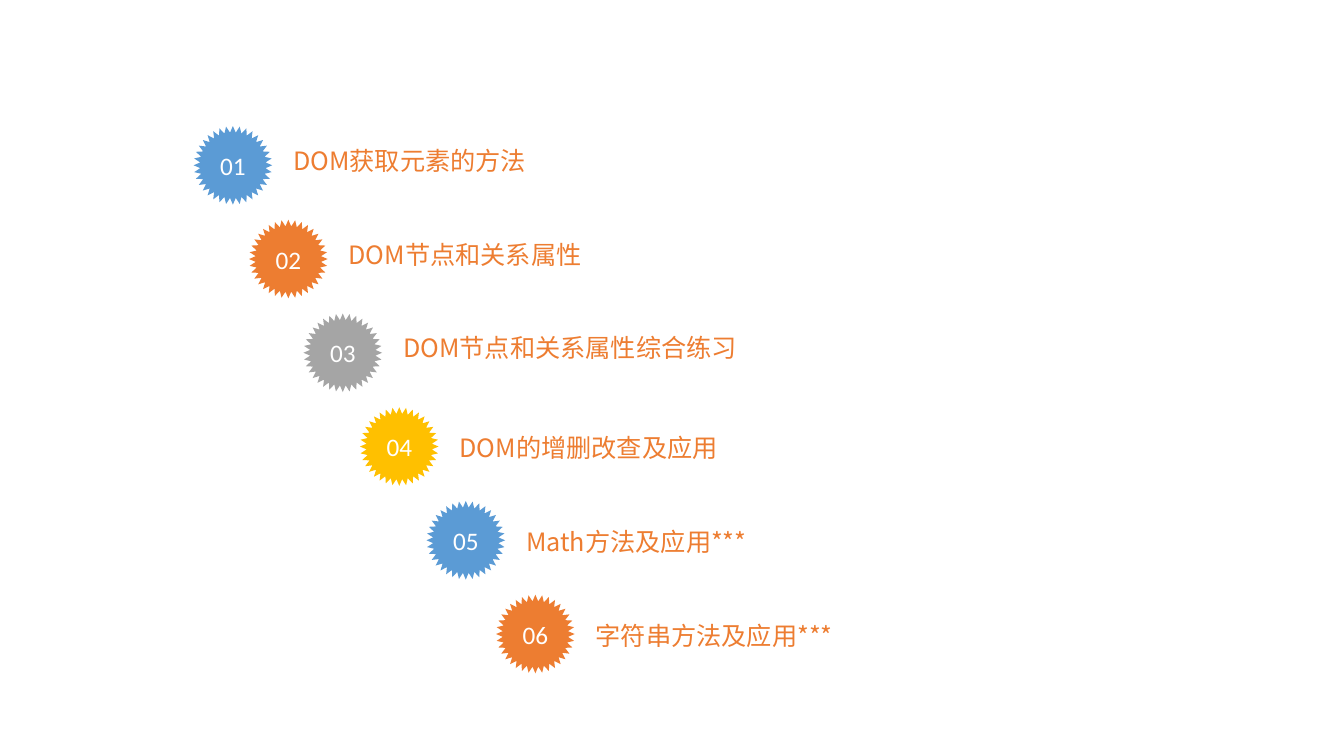
from dataclasses import dataclass
from math import cos, pi, sin

from lxml import etree
from pptx import Presentation
from pptx.dml.color import RGBColor
from pptx.enum.text import MSO_ANCHOR, PP_ALIGN
from pptx.oxml.ns import qn
from pptx.util import Inches, Pt

CENTER, LEFT = PP_ALIGN.CENTER, PP_ALIGN.LEFT
MIDDLE, TOP = MSO_ANCHOR.MIDDLE, MSO_ANCHOR.TOP


@dataclass(frozen=True)
class Theme:
    badges: tuple = ("5B9BD5", "ED7D31", "A5A5A5", "FFC000")
    topic: str = "ED7D31"
    number: str = "FFFFFF"
    topic_font: str = "Noto Sans CJK SC"
    number_font: str = "Calibri"
    size: int = 18


THEME = Theme()

TOPICS = [
    ("DOM获取元素的方法", 1.92, 0.14),
    ("DOM节点和关系属性", 2.47, 0.14),
    ("DOM节点和关系属性综合练习", 3.01, 0.14),
    ("DOM的增删改查及应用", 3.57, 0.2),
    ("Math方法及应用***", 4.23, 0.2),
    ("字符串方法及应用***", 4.92, 0.2),
]

SLIDE_W, SLIDE_H = 13.33, 7.5
FIRST_ROW, ROW_STEP = 1.25, 0.93
TEETH, OUTER, INNER = 36, 0.39, 0.325
TOPIC_GAP, TOPIC_W, TOPIC_H = 0.89, 7.44, 0.52


def write(shape, text, font, color, align, anchor):
    tf = shape.text_frame
    tf.word_wrap = True
    tf.vertical_anchor = anchor
    p = tf.paragraphs[0]
    p.alignment = align
    r = p.add_run()
    r.text = text
    r.font.name = font
    r.font.size = Pt(THEME.size)
    r.font.color.rgb = RGBColor.from_string(color)
    ea = etree.SubElement(r.font._element, qn("a:ea"))
    ea.set("typeface", THEME.topic_font)


def add_badge(shapes, left, top, color):
    points = []
    for i in range(2 * TEETH):
        radius = INNER if i % 2 else OUTER
        angle = i * pi / TEETH
        points.append((Inches(left + OUTER + radius * sin(angle)),
                       Inches(top + OUTER - radius * cos(angle))))
    builder = shapes.build_freeform(*points[0])
    builder.add_line_segments(points[1:], close=True)
    badge = builder.convert_to_shape()
    badge.shadow.inherit = False
    badge.fill.solid()
    badge.fill.fore_color.rgb = RGBColor.from_string(color)
    badge.line.fill.background()
    return badge


def main():
    prs = Presentation()
    prs.slide_width, prs.slide_height = Inches(SLIDE_W), Inches(SLIDE_H)
    s = prs.slides.add_slide(prs.slide_layouts[6])
    for row, (topic, left, drop) in enumerate(TOPICS):
        top = FIRST_ROW + row * ROW_STEP
        shapes = s.shapes.add_group_shape().shapes
        box = shapes.add_textbox(Inches(left + TOPIC_GAP), Inches(top + drop),
                                 Inches(TOPIC_W), Inches(TOPIC_H))
        write(box, topic, THEME.topic_font, THEME.topic, LEFT, TOP)
        badge = add_badge(shapes, left, top, THEME.badges[row % len(THEME.badges)])
        write(badge, f"{row + 1:02d}", THEME.number_font, THEME.number, CENTER, MIDDLE)
    prs.save("out.pptx")


if __name__ == "__main__":
    main()
